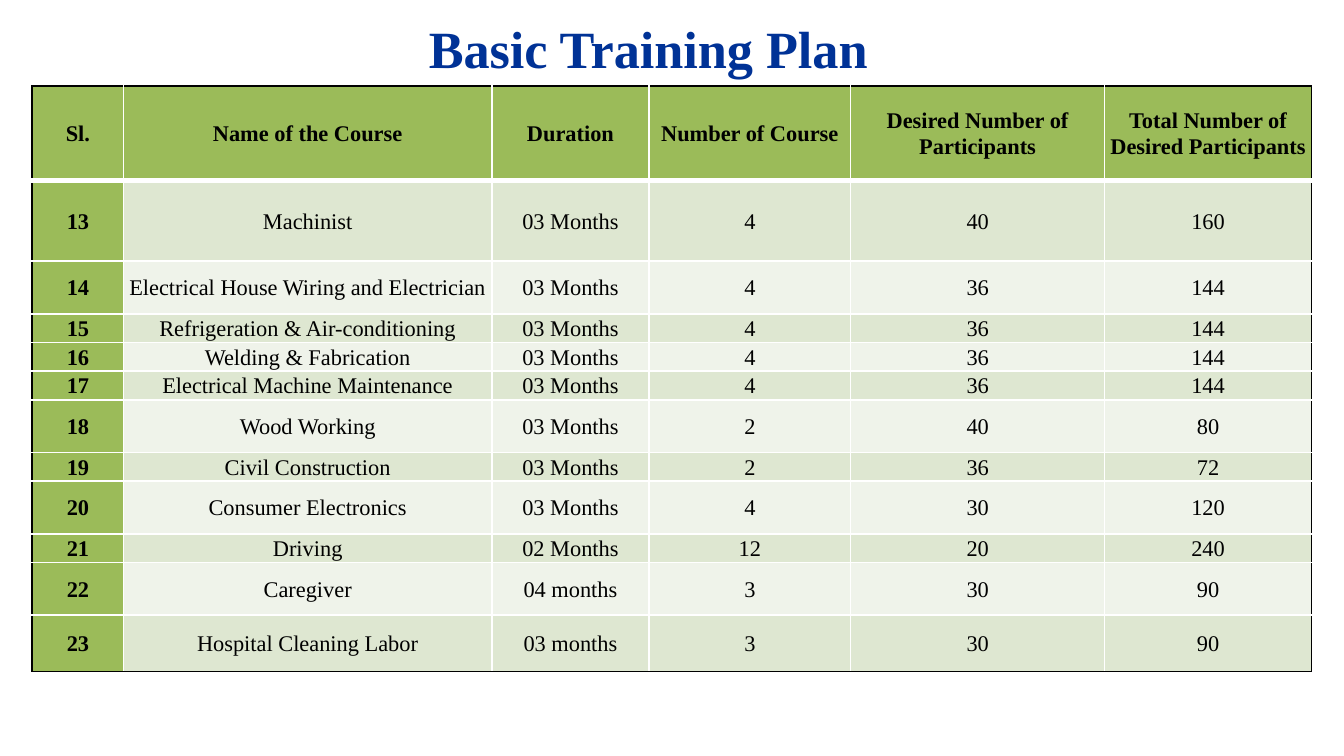
from pptx import Presentation
from pptx.dml.color import RGBColor
from pptx.enum.text import MSO_ANCHOR, PP_ALIGN
from pptx.oxml.ns import qn
from pptx.util import Inches, Pt
from lxml import etree

TOP, MIDDLE = MSO_ANCHOR.TOP, MSO_ANCHOR.MIDDLE
LEFT, CENTER = PP_ALIGN.LEFT, PP_ALIGN.CENTER
FONT = "Times New Roman"
COLORS = {
    "title": "003296",
    "text": "000000",
    "frame": "000000",
    "grid": "FFFFFF",
    "head": "9BBB59",
    "odd": "DEE7D1",
    "even": "EFF3EA",
}
HEADERS = ["Sl.", "Name of the Course", "Duration", "Number of Course",
           "Desired Number of Participants", "Total Number of Desired Participants"]
FIRST_SERIAL = 13
COURSES = [
    ("Machinist", "03 Months", 4, 40),
    ("Electrical House Wiring and Electrician", "03 Months", 4, 36),
    ("Refrigeration & Air-conditioning", "03 Months", 4, 36),
    ("Welding & Fabrication", "03 Months", 4, 36),
    ("Electrical Machine Maintenance", "03 Months", 4, 36),
    ("Wood Working", "03 Months", 2, 40),
    ("Civil Construction", "03 Months", 2, 36),
    ("Consumer Electronics", "03 Months", 4, 30),
    ("Driving", "02 Months", 12, 20),
    ("Caregiver", "04 months", 3, 30),
    ("Hospital Cleaning Labor", "03 months", 3, 30),
]
COL_INCHES = [0.68, 2.74, 1.17, 1.5, 1.89, 1.54]
THIN, TALL = 15.4, 28.2
ROW_POINTS = [50.4, 43.4, TALL, THIN, THIN, THIN, TALL, THIN, TALL, THIN, TALL, 30.2]


def format_runs(p, size, color, bold):
    for r in p.runs:
        r.font.name = FONT
        r.font.size = Pt(size)
        r.font.bold = bold
        r.font.color.rgb = RGBColor.from_string(COLORS[color])


def add_title(s, text):
    sp = s.shapes.title
    sp.left, sp.top, sp.width, sp.height = map(Inches, (3.09, 0.07, 3.81, 0.57))
    tf = sp.text_frame
    tf.text = text
    tf.vertical_anchor = TOP
    tf.paragraphs[0].alignment = LEFT
    format_runs(tf.paragraphs[0], 28, "title", True)


def set_border(cell, side, color, width):
    ln = etree.SubElement(cell._tc.get_or_add_tcPr(), qn(f"a:ln{side}"), w=str(Pt(width)))
    fill = etree.SubElement(ln, qn("a:solidFill"))
    etree.SubElement(fill, qn("a:srgbClr"), val=COLORS[color])


def set_borders(cell, row, col, last_row, last_col):
    on_frame = {"L": col == 0, "R": col == last_col, "T": row == 0, "B": row == last_row}
    for side, framed in on_frame.items():
        under_header = (row, side) in ((0, "B"), (1, "T"))
        set_border(cell, side, "frame" if framed else "grid", 3 if under_header else 1)


def fill_cell(cell, text, fill, bold, space_after):
    cell.fill.solid()
    cell.fill.fore_color.rgb = RGBColor.from_string(COLORS[fill])
    cell.vertical_anchor = MIDDLE
    cell.margin_left = cell.margin_right = Inches(0.03)
    cell.margin_top = cell.margin_bottom = 0
    cell.text_frame.text = text
    p = cell.text_frame.paragraphs[0]
    p.alignment = CENTER
    p.line_spacing = 1.07
    p.space_after = Pt(space_after)
    format_runs(p, 12, "text", bold)


def add_course_table(s, rows):
    last_row, last_col = len(rows) - 1, len(HEADERS) - 1
    table = s.shapes.add_table(
        len(rows), len(HEADERS), Inches(0.24), Inches(0.64),
        Inches(sum(COL_INCHES)), Pt(sum(ROW_POINTS))).table
    for column, width in zip(table.columns, COL_INCHES):
        column.width = Inches(width)
    for row, height in zip(table.rows, ROW_POINTS):
        row.height = Pt(height)
    for i, values in enumerate(rows):
        for j, value in enumerate(values):
            cell = table.cell(i, j)
            heading = i == 0 or j == 0
            fill = "head" if heading else "odd" if i % 2 else "even"
            set_borders(cell, i, j, last_row, last_col)
            fill_cell(cell, str(value), fill, heading, 8 if j == last_col else 0)


def main():
    prs = Presentation()
    prs.slide_width = Inches(10)
    prs.slide_height = prs.slide_width * 9 // 16
    s = prs.slides.add_slide(prs.slide_layouts[5])
    add_title(s, "Basic Training Plan")
    rows = [HEADERS] + [
        (serial, name, duration, count, people, count * people)
        for serial, (name, duration, count, people) in enumerate(COURSES, FIRST_SERIAL)]
    add_course_table(s, rows)
    prs.save("out.pptx")


if __name__ == "__main__":
    main()
